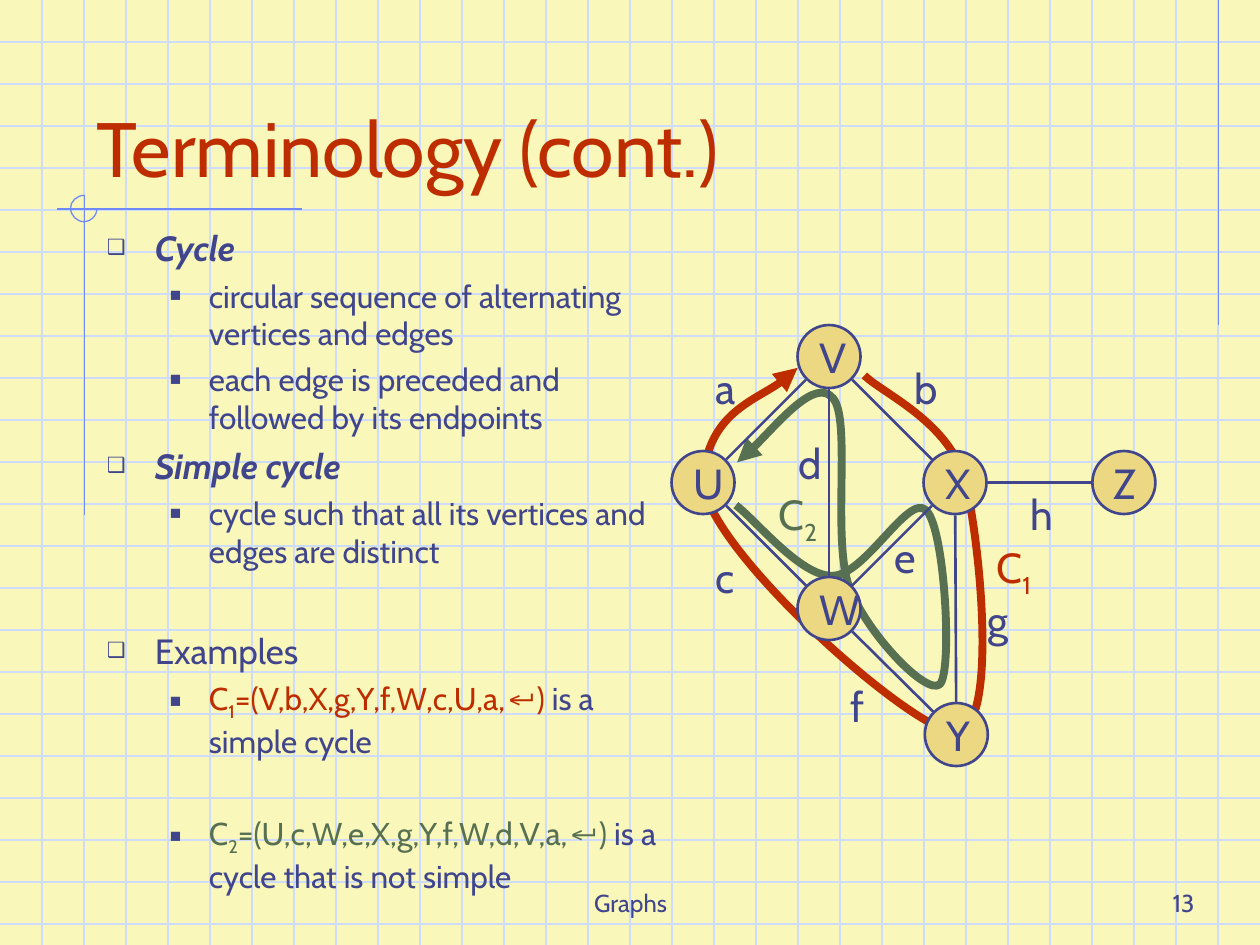
from math import hypot

from lxml.etree import SubElement
from pptx import Presentation
from pptx.dml.color import RGBColor
from pptx.enum.shapes import MSO_CONNECTOR as Connector, MSO_SHAPE as Shape
from pptx.enum.text import MSO_ANCHOR as Anchor, MSO_AUTO_SIZE as AutoSize, PP_ALIGN as Align
from pptx.oxml.ns import qn
from pptx.util import Inches, Pt

PAPER = RGBColor(0xF9, 0xF8, 0xBA)
GRID = RGBColor(0xCF, 0xDB, 0xFD)
RULE = RGBColor(0x6F, 0x89, 0xF7)
NAVY = RGBColor(0x40, 0x45, 0x8C)
RED = RGBColor(0xBE, 0x2D, 0x00)
GREEN = RGBColor(0x57, 0x70, 0x52)
SAND = RGBColor(0xEC, 0xD8, 0x82)

WIDTH, HEIGHT, GRID_STEP = 10, 7.5, 1 / 3
DIAMETER, EDGE_GAP = 0.5, 0.26

VERTICES = {"X": (7.58, 3.83), "U": (5.58, 3.83), "V": (6.58, 2.83),
            "W": (6.58, 4.83), "Z": (8.92, 3.83), "Y": (7.59, 5.83)}
EDGES = ["VU", "WU", "WX", "XZ", "VX", "VW", "WY", "XY"]
EDGE_LABELS = {"a": (5.58, 2.83, 0.38), "c": (5.58, 4.33, 0.36), "b": (7.16, 2.83, 0.4),
               "e": (7, 4.17, 0.39), "d": (6.24, 3.42, 0.4), "f": (6.65, 5.35, 0.31),
               "g": (7.74, 4.67, 0.4), "h": (8.08, 3.83, 0.4)}

CORNER_ARC = [(0.67, 1.55), (0.61, 1.55), (0.56, 1.6), (0.56, 1.65),
              (0.56, 1.71), (0.61, 1.76), (0.67, 1.76),
              (0.72, 1.76), (0.77, 1.71), (0.77, 1.66)]
SIMPLE_CYCLE = [(6.86, 2.98), (7, 3.12), (7.54, 3.35), (7.66, 3.82),
                (7.78, 4.3), (7.93, 5.82), (7.58, 5.81),
                (7.24, 5.81), (5.54, 4.3), (5.58, 3.79),
                (5.63, 3.28), (6.18, 3.1), (6.33, 2.92)]
NON_SIMPLE_CYCLE = [(5.85, 3.67), (5.98, 3.58), (6.47, 2.99), (6.61, 3.16),
                    (6.76, 3.32), (6.6, 4.28), (6.74, 4.66),
                    (6.88, 5.03), (7.36, 5.53), (7.46, 5.43),
                    (7.56, 5.33), (7.5, 4.19), (7.35, 4.05),
                    (7.21, 3.91), (6.86, 4.58), (6.6, 4.57),
                    (6.35, 4.57), (6, 4.13), (5.84, 4.01)]

LEVELS = [{"size": 20, "margin": 0.38, "hang": 0.38, "before": 5, "bullet": "❑"},
          {"size": 18, "margin": 0.81, "hang": 0.31, "before": 4.5, "bullet": "■"}]


def apply_format(target, values):
    for name, value in values.items():
        setattr(target, name, value)


def add_runs(paragraph, runs, size, color=NAVY):
    for text, changes in runs:
        run = paragraph.add_run()
        run.text = text
        values = {"name": "Cabin", "size": Pt(size), **changes}
        run_color = values.pop("color", color)
        if values.pop("subscript", False):
            run._r.get_or_add_rPr().set("baseline", "-25000")
        apply_format(run.font, values)
        run.font.color.rgb = run_color


def add_text(slide, box, runs, size, color=NAVY, align=Align.LEFT, **frame_values):
    shape = slide.shapes.add_textbox(*map(Inches, box))
    apply_format(shape.text_frame, {"word_wrap": True, **frame_values})
    paragraph = shape.text_frame.paragraphs[0]
    paragraph.alignment = align
    add_runs(paragraph, runs, size, color)


def add_label(slide, box, runs, color=NAVY):
    add_text(slide, box, runs, 24, color, word_wrap=False, auto_size=AutoSize.SHAPE_TO_FIT_TEXT)


def add_line(parent, start, end, color, width):
    line = parent.shapes.add_connector(Connector.STRAIGHT, *map(Inches, (*start, *end)))
    line.line.color.rgb = color
    line.line.width = Pt(width)
    SubElement(line._element.spPr, qn("a:effectLst"))


def bend_segments(shape):
    segments = list(shape._element.iter(qn("a:lnTo")))
    for first in range(0, len(segments), 3):
        outline = segments[first].getparent()
        curve = SubElement(outline, qn("a:cubicBezTo"))
        for segment in segments[first:first + 3]:
            curve.append(segment[0])
            outline.remove(segment)


def add_curve(parent, controls, color, width, arrow=None):
    points = [(Inches(x), Inches(y)) for x, y in controls]
    builder = parent.shapes.build_freeform(*points[0])
    builder.add_line_segments(points[1:], close=False)
    shape = builder.convert_to_shape()
    bend_segments(shape)
    shape.shadow.inherit = False
    shape.fill.background()
    shape.line.color.rgb = color
    shape.line.width = Pt(width)
    if arrow:
        SubElement(shape.line._get_or_add_ln(), qn(arrow), type="triangle")


def add_vertex(slide, name):
    x, y = VERTICES[name]
    box = (x - DIAMETER / 2, y - DIAMETER / 2, DIAMETER, DIAMETER)
    shape = slide.shapes.add_shape(Shape.OVAL, *map(Inches, box))
    shape.shadow.inherit = False
    shape.fill.solid()
    shape.fill.fore_color.rgb = SAND
    shape.line.color.rgb = NAVY
    shape.line.width = Pt(1.5)
    apply_format(shape.text_frame, {"word_wrap": False, "vertical_anchor": Anchor.MIDDLE})
    paragraph = shape.text_frame.paragraphs[0]
    paragraph.alignment = Align.LEFT
    add_runs(paragraph, [(name, {})], 24)


def add_edge(slide, ends):
    (x1, y1), (x2, y2) = (VERTICES[name] for name in ends)
    ratio = EDGE_GAP / hypot(x2 - x1, y2 - y1)
    dx, dy = (x2 - x1) * ratio, (y2 - y1) * ratio
    add_line(slide, (x1 + dx, y1 + dy), (x2 - dx, y2 - dy), NAVY, 1.5)


def add_bullet(paragraph, level, runs, gap):
    style = LEVELS[level]
    apply_format(paragraph, {"level": level, "alignment": Align.LEFT,
                             "space_before": Pt(style["before"] + gap)})
    properties = paragraph._p.get_or_add_pPr()
    properties.set("marL", str(Inches(style["margin"])))
    properties.set("indent", str(-Inches(style["hang"])))
    bullet_color = SubElement(properties, qn("a:buClr"))
    SubElement(bullet_color, qn("a:srgbClr"), val=str(NAVY))
    SubElement(properties, qn("a:buSzPct"), val="60000")
    SubElement(properties, qn("a:buFont"), typeface="Arial")
    SubElement(properties, qn("a:buChar"), char=style["bullet"])
    add_runs(paragraph, runs, style["size"])


def cycle_name(number):
    return [("C", {}), (number, {"subscript": True})]


def cycle_runs(number, members, color, ending):
    formula = cycle_name(number) + [(f"=({members},", {}), ("↵", {"name": "Arial"}), (")", {})]
    return [(text, {**values, "color": color}) for text, values in formula] + [(ending, {})]


def add_outline(slide):
    strong = {"bold": True, "italic": True}
    items = [
        (0, [("Cycle", strong)], 0),
        (1, [("circular sequence of alternating vertices and edges", {})], 0),
        (1, [("each edge is preceded and followed by its endpoints", {})], 0),
        (0, [("Simple cycle", strong)], 0),
        (1, [("cycle such that all its vertices and edges are distinct", {})], 0),
        (0, [("Examples", {})], 29),
        (1, cycle_runs("1", "V,b,X,g,Y,f,W,c,U,a", RED, " is a simple cycle"), 0),
        (1, cycle_runs("2", "U,c,W,e,X,g,Y,f,W,d,V,a", GREEN, " is a cycle that is not simple"), 26.5),
    ]
    shape = slide.shapes.add_textbox(*map(Inches, (0.75, 1.75, 4.58, 5.5)))
    frame = shape.text_frame
    frame.word_wrap = True
    for index, item in enumerate(items):
        paragraph = frame.add_paragraph() if index else frame.paragraphs[0]
        add_bullet(paragraph, *item)


def add_master_backdrop(slide):
    master = slide.slide_layout.slide_master
    master.background.fill.solid()
    master.background.fill.fore_color.rgb = PAPER
    group = slide.shapes.add_group_shape()
    for row in range(1, 23):
        add_line(group, (0, row * GRID_STEP), (WIDTH, row * GRID_STEP), GRID, 0.75)
    for column in range(1, 30):
        add_line(group, (column * GRID_STEP, 0), (column * GRID_STEP, HEIGHT), GRID, 0.75)
    for start, end in [((9.67, 0), (9.67, 2.58)), ((2.4, 1.66), (0.45, 1.66)),
                       ((0.67, 1.55), (0.67, 4.09))]:
        add_line(group, start, end, RULE, 0.75)
    add_curve(group, CORNER_ARC, RULE, 0.75)
    master.shapes._spTree.append(group._element)


def main():
    presentation = Presentation()
    apply_format(presentation, {"slide_width": Inches(WIDTH), "slide_height": Inches(HEIGHT)})
    slide = presentation.slides.add_slide(presentation.slide_layouts[6])
    add_master_backdrop(slide)
    bottom = {"vertical_anchor": Anchor.BOTTOM}
    add_text(slide, (3.42, 6.83, 3.17, 0.5), [("Graphs", {})], 14, align=Align.CENTER, **bottom)
    add_text(slide, (7.5, 6.83, 2.08, 0.5), [("13", {})], 14, align=Align.RIGHT, **bottom)
    add_curve(slide, SIMPLE_CYCLE, RED, 4.5, "a:tailEnd")
    add_text(slide, (0.67, 0.33, 8.5, 1.25), [("Terminology (cont.)", {})], 44, RED, **bottom)
    add_outline(slide)
    add_curve(slide, NON_SIMPLE_CYCLE, GREEN, 4.5, "a:headEnd")
    add_label(slide, (7.81, 4.25, 0.52, 0.56), cycle_name("1"), RED)
    for name in VERTICES:
        add_vertex(slide, name)
    for ends in EDGES:
        add_edge(slide, ends)
    for name, (left, top, width) in EDGE_LABELS.items():
        add_label(slide, (left, top, width, 0.5), [(name, {})])
    add_label(slide, (6.08, 3.83, 0.52, 0.56), cycle_name("2"), GREEN)
    presentation.save("out.pptx")


if __name__ == "__main__":
    main()
